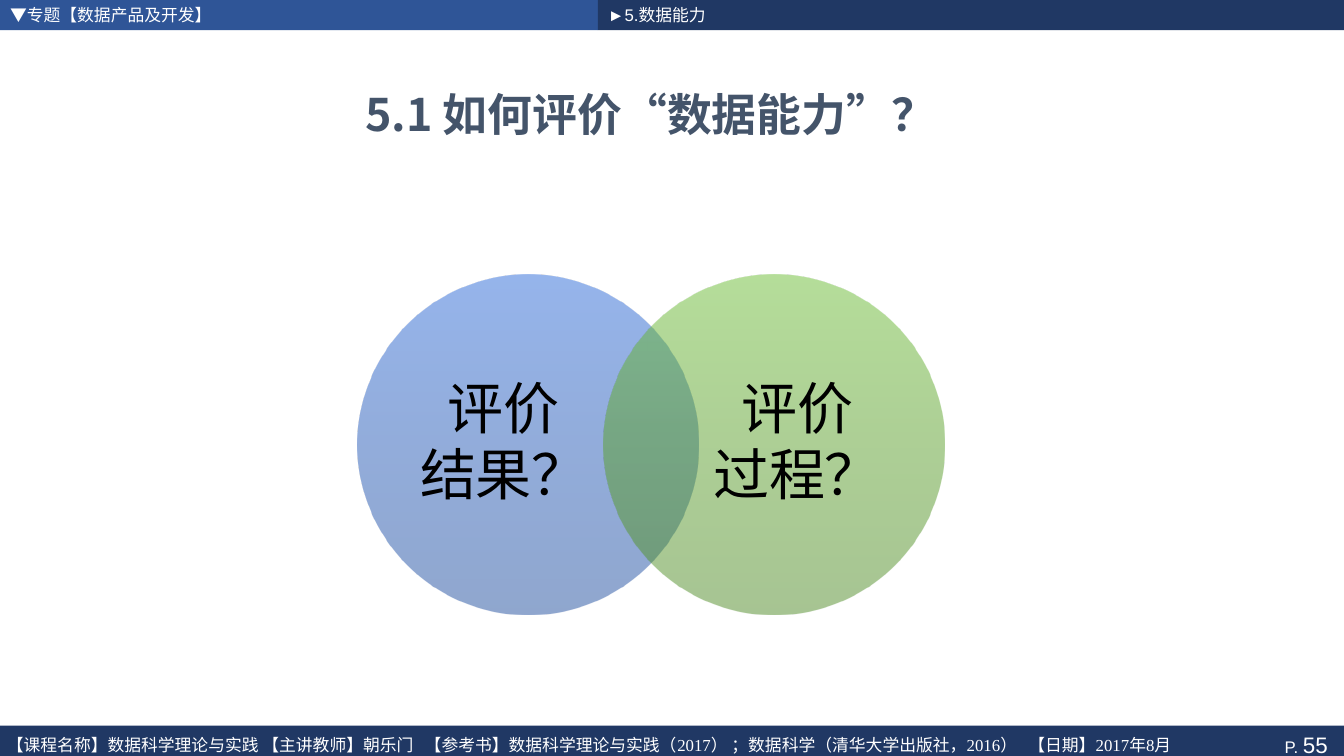
from lxml import etree
from pptx import Presentation
from pptx.dml.color import RGBColor
from pptx.enum.shapes import MSO_SHAPE as SHAPE
from pptx.enum.text import MSO_ANCHOR as ANCHOR, MSO_AUTO_SIZE as AUTO, PP_ALIGN as ALIGN
from pptx.oxml.ns import qn
from pptx.util import Inches, Pt

WHITE = RGBColor(0xFF, 0xFF, 0xFF)
BLACK = RGBColor(0x00, 0x00, 0x00)
SLATE = RGBColor(0x44, 0x54, 0x6A)
BLUE = RGBColor(0x2F, 0x55, 0x97)
NAVY = RGBColor(0x20, 0x38, 0x64)
BLUE_STOPS = RGBColor(0x20, 0x4E, 0x9F), RGBColor(0x26, 0x5B, 0xBB), RGBColor(0x2C, 0x6A, 0xDA)
GREEN_STOPS = RGBColor(0x4E, 0x8B, 0x26), RGBColor(0x5C, 0xA3, 0x2C), RGBColor(0x6B, 0xBE, 0x34)
CJK = "Noto Sans CJK SC"

TITLE = "5.1 如何评价“数据能力”？"
TOPIC = "▼专题【数据产品及开发】"
SECTION = "►5.数据能力"
COURSE = ("【课程名称】数据科学理论与实践 【主讲教师】朝乐门   "
          "【参考书】数据科学理论与实践（2017） ；数据科学（清华大学出版社，2016）   【日期】2017年8月")
PAGE = [("P. ", 12), ("55", 16)]
# lines, gradient stops from bottom to top, share of the circle left of the label
CIRCLES = [
    (["评价", "结果？"], BLUE_STOPS, 0.14),
    (["评价", "过程？"], GREEN_STOPS, 0.28),
]

W, H = 13.33, 7.5
SPLIT, HEADER_H = 5.93, 0.3
FOOTER_TOP, FOOTER_H = 7.2, 0.37
DIAMETER, CIRCLE_LEFT, CIRCLE_TOP = 3.38, 3.55, 2.72
STEP = 0.72 * DIAMETER
LABEL_W, LABEL_H = 1.95, 2.58

prs = Presentation()
prs.slide_width, prs.slide_height = Inches(W), Inches(H)
slide = prs.slides.add_slide(prs.slide_layouts[3])
title, topic, section = slide.placeholders


def place(sp, *box):
    sp.left, sp.top, sp.width, sp.height = map(Inches, box)


def write(sp, lines, size=12, font="Arial", color=WHITE, bold=False,
          align=ALIGN.LEFT, spacing=1.0, after=0, inset=None, wrap=True):
    """Fill sp with lines; each line is a string or a list of (text, size) runs."""
    tf = sp.text_frame
    tf.word_wrap, tf.auto_size, tf.vertical_anchor = wrap, AUTO.NONE, ANCHOR.MIDDLE
    if inset is not None:
        tf.margin_left = tf.margin_right = Inches(inset)
        tf.margin_top = tf.margin_bottom = 0
    for i, line in enumerate(lines):
        p = tf.add_paragraph() if i else tf.paragraphs[0]
        p.alignment, p.line_spacing = align, spacing
        p.space_before, p.space_after = Pt(0), Pt(after)
        pPr = p._p.get_or_add_pPr()
        pPr.set("marL", "0")
        pPr.set("indent", "0")
        etree.SubElement(pPr, qn("a:buNone"))
        for text, run_size in ([(line, size)] if isinstance(line, str) else line):
            r = p.add_run()
            r.text = text
            r.font.size, r.font.name, r.font.bold = Pt(run_size), font, bold
            r.font.color.rgb = color
            latin = r.font._element.find(qn("a:latin"))
            ea = etree.Element(qn("a:ea"), typeface=CJK)
            latin.addnext(ea)


def add_plain(shape, *box):
    sp = slide.shapes.add_shape(shape, *map(Inches, box))
    sp.shadow.inherit = False
    sp.line.fill.background()
    return sp


def add_bar(color, *box):
    sp = add_plain(SHAPE.RECTANGLE, *box)
    sp.fill.solid()
    sp.fill.fore_color.rgb = color
    return sp


def fill_translucent_gradient(sp, colors):
    sp.fill.gradient()
    sp.fill.gradient_angle = 90
    stops = sp._element.spPr.find(qn("a:gradFill")).find(qn("a:gsLst"))
    for old in list(stops):
        stops.remove(old)
    for share, color in zip((0, 55, 100), colors):
        gs = etree.SubElement(stops, qn("a:gs"), pos=str(share * 1000))
        clr = etree.SubElement(gs, qn("a:srgbClr"), val=str(color))
        etree.SubElement(clr, qn("a:alpha"), val="50000")


def add_text(*box):
    return slide.shapes.add_textbox(*map(Inches, box))


add_bar(BLUE, 0, 0, SPLIT, HEADER_H)
footer = add_bar(NAVY, 0, FOOTER_TOP, W, FOOTER_H)
write(footer, [PAGE], align=ALIGN.RIGHT, inset=0.16)
add_bar(NAVY, SPLIT, 0, W - SPLIT, HEADER_H)
write(add_text(-0.03, 7.25, 12.76, 0.28), [COURSE], font="Times New Roman")

for i, (lines, stops, label_share) in enumerate(CIRCLES):
    left = CIRCLE_LEFT + i * STEP
    circle = add_plain(SHAPE.OVAL, left, CIRCLE_TOP, DIAMETER, DIAMETER)
    fill_translucent_gradient(circle, stops)
    label = add_text(left + label_share * DIAMETER,
                     CIRCLE_TOP + (DIAMETER - LABEL_H) / 2, LABEL_W, LABEL_H)
    write(label, lines, size=40, color=BLACK, align=ALIGN.CENTER,
          spacing=0.9, after=4, inset=0)

place(title, 2.94, 0.68, 7.03, 0.9)
write(title, [TITLE], size=32, font=CJK, color=SLATE, bold=True, align=ALIGN.CENTER)
place(topic, 0, 0, 4.83, 0.29)
write(topic, [TOPIC])
place(section, SPLIT, 0, 2.38, 0.29)
write(section, [SECTION])
for sp in (title, topic, section):  # bring in front of the bars
    slide.shapes._spTree.append(sp._element)

prs.save("out.pptx")
